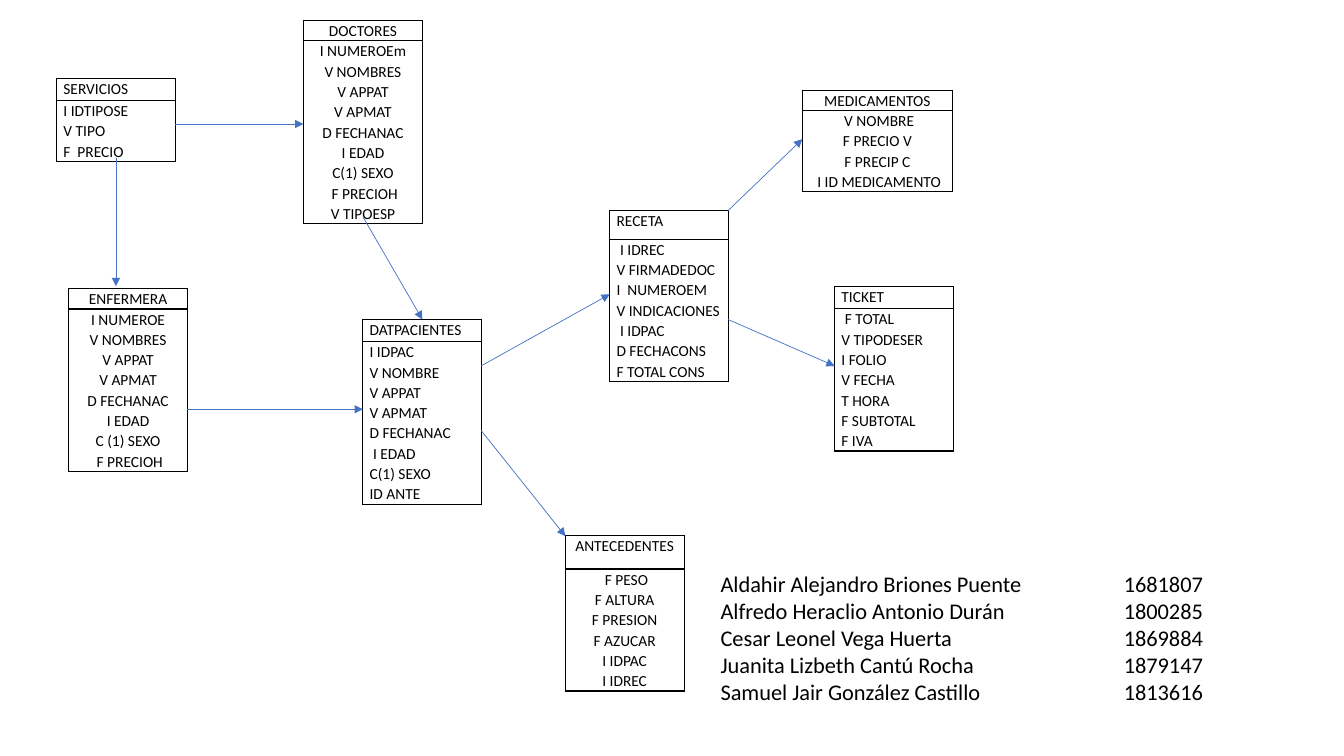
from pptx import Presentation
from pptx.dml.color import RGBColor
from pptx.enum.shapes import MSO_CONNECTOR
from pptx.enum.text import PP_ALIGN
from pptx.oxml import parse_xml
from pptx.oxml.ns import nsdecls
from pptx.util import Pt

BLACK = RGBColor(0, 0, 0)
BLUE = RGBColor(0x44, 0x72, 0xC4)
LEFT, CENTER = PP_ALIGN.LEFT, PP_ALIGN.CENTER
FONT = "Calibri"
LINE_HEIGHT = 14.5

ENTITIES = [
    ("DOCTORES", (216.8, 14.6), 85, 14.4, CENTER,
     ["I NUMEROEm", "V NOMBRES", "V APPAT", "V APMAT", "D FECHANAC",
      "I EDAD", "C(1) SEXO", " F PRECIOH", "V TIPOESP"]),
    ("ENFERMERA", (49, 206.1), 85, 14.4, CENTER,
     ["I NUMEROE", "V NOMBRES", "V APPAT", "V APMAT", "D FECHANAC",
      "I EDAD", "C (1) SEXO", " F PRECIOH"]),
    ("DATPACIENTES ", (259, 228.2), 85, 15.8, LEFT,
     ["I IDPAC", "V NOMBRE", "V APPAT", "V APMAT", "D FECHANAC",
      " I EDAD", "C(1) SEXO", "ID ANTE"]),
    ("RECETA", (435.4, 150.6), 85, 20.2, LEFT,
     [" I IDREC", "V FIRMADEDOC", "I  NUMEROEM", "V INDICACIONES",
      " I IDPAC", "D FECHACONS", "F TOTAL CONS"]),
    ("SERVICIOS", (40.3, 56), 85, 15.8, LEFT,
     ["I IDTIPOSE", "V TIPO", "F  PRECIO"]),
    ("TICKET", (596, 204.7), 85, 15.8, LEFT,
     [" F TOTAL", "V TIPODESER", "I FOLIO", "V FECHA", "T HORA",
      "F SUBTOTAL", "F IVA"]),
    ("ANTECEDENTES", (403.7, 382.7), 85, 23.8, CENTER,
     [" F PESO", "F ALTURA", "F PRESION", "F AZUCAR", "I IDPAC", "I IDREC"]),
    ("MEDICAMENTOS", (573.1, 64.4), 107.3, 14.4, CENTER,
     [" V NOMBRE", "F PRECIO V", "F PRECIP C", " I ID MEDICAMENTO"]),
]

RELATIONS = [
    ((82.8, 113), (82.8, 204.5)),
    ((125.3, 88.6), (216.7, 88.6)),
    ((133.9, 292.3), (259.2, 292.3)),
    ((259.2, 154.8), (301.7, 228.2)),
    ((343.6, 307.4), (403.9, 383)),
    ((343.6, 261.4), (435.6, 210.2)),
    ((520, 150.5), (573.1, 99.4)),
    ((520, 228.2), (596.2, 261.4)),
]

STUDENTS = [
    ("Aldahir Alejandro Briones Puente", "1681807"),
    ("Alfredo Heraclio Antonio Durán", "1800285"),
    ("Cesar Leonel Vega Huerta", "1869884"),
    ("Juanita Lizbeth Cantú Rocha", "1879147"),
    ("Samuel Jair González Castillo", "1813616"),
]

CELL_FORMAT = {"margin_left": Pt(5), "margin_right": Pt(5),
               "margin_top": 0, "margin_bottom": 0}
PLAIN_TABLE = {"first_row": False, "horz_banding": False}


def apply(target, formats):
    for name, value in formats.items():
        setattr(target, name, value)


def write_lines(frame, lines, size, **paragraph_format):
    for index, line in enumerate(lines):
        paragraph = frame.add_paragraph() if index else frame.paragraphs[0]
        apply(paragraph, paragraph_format)
        run = paragraph.add_run()
        run.text = line
        apply(run.font, {"name": FONT, "size": Pt(size), "bold": False})
        run.font.color.rgb = BLACK


def add_borders(cell):
    properties = cell._tc.get_or_add_tcPr()
    for side in "LRTB":
        properties.append(parse_xml(
            f'<a:ln{side} {nsdecls("a")} w="{Pt(1)}"><a:solidFill>'
            f'<a:srgbClr val="{BLACK}"/></a:solidFill></a:ln{side}>'))


def add_entity(slide, name, corner, width, header_height, align, fields):
    heights = [header_height, LINE_HEIGHT * len(fields)]
    x, y = corner
    entity = slide.shapes.add_table(
        2, 1, Pt(x), Pt(y), Pt(width), Pt(sum(heights))).table
    apply(entity, PLAIN_TABLE)
    for index, lines in enumerate([[name], fields]):
        entity.rows[index].height = Pt(heights[index])
        cell = entity.cell(index, 0)
        apply(cell, CELL_FORMAT)
        add_borders(cell)
        cell.fill.background()
        write_lines(cell.text_frame, lines, 11,
                    alignment=align, line_spacing=1.07)


def add_relation(slide, start, end):
    arrow = slide.shapes.add_connector(
        MSO_CONNECTOR.STRAIGHT, *[Pt(value) for value in start + end])
    arrow.line.color.rgb = BLUE
    arrow.line.width = Pt(0.5)
    arrow.line._get_or_add_ln().append(
        parse_xml(f'<a:tailEnd {nsdecls("a")} type="triangle"/>'))
    arrow._element.spPr.append(parse_xml(f'<a:effectLst {nsdecls("a")}/>'))


def add_students(slide):
    roster = slide.shapes.add_textbox(
        Pt(507.6), Pt(403.9), Pt(426.2), Pt(104.4)).text_frame
    roster.word_wrap = True
    write_lines(roster, ["\t".join(student) for student in STUDENTS], 16)
    for paragraph in roster.paragraphs:
        paragraph._p.get_or_add_pPr().append(parse_xml(
            f'<a:tabLst {nsdecls("a")}>'
            f'<a:tab pos="{Pt(288)}" algn="l"/></a:tabLst>'))


deck = Presentation()
apply(deck, {"slide_width": Pt(960), "slide_height": Pt(540)})
diagram = deck.slides.add_slide(deck.slide_layouts[6])
for entity_data in ENTITIES:
    add_entity(diagram, *entity_data)
add_students(diagram)
for relation in RELATIONS:
    add_relation(diagram, *relation)
deck.save("out.pptx")
